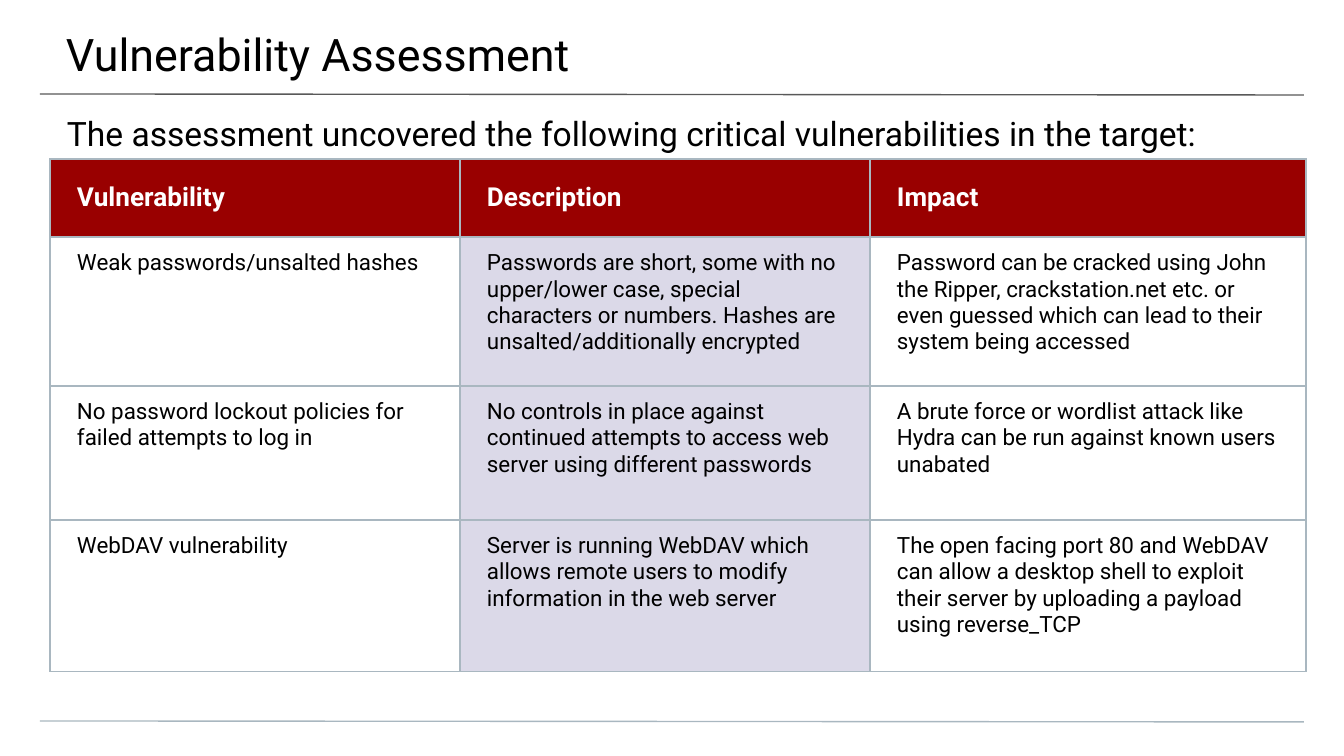
from pptx import Presentation
from pptx.dml.color import RGBColor
from pptx.enum.shapes import MSO_CONNECTOR as Conn
from pptx.enum.text import MSO_ANCHOR as Anchor
from pptx.oxml.ns import qn
from pptx.util import Emu, Pt
from lxml.etree import SubElement as Sub

SCALE = 914400 / 134.4
FONT = "Roboto"
BLACK, WHITE, RED, LILAC, GREY, RULE = (
    "000000", "FFFFFF", "990000", "DBD9E8", "A9B7C0", "595959")
COLUMNS = [410, 410, 436]
ROWS = [78, 149, 134, 152]
CELLS = [
    ["Vulnerability", "Description", "Impact"],
    ["Weak passwords/unsalted hashes",
     "Passwords are short, some with no upper/lower case, special characters "
     "or numbers. Hashes are unsalted/additionally encrypted",
     "Password can be cracked using John the Ripper, crackstation.net etc. or "
     "even guessed which can lead to their system being accessed"],
    ["No password lockout policies for failed attempts to log in",
     "No controls in place against continued attempts to access web server "
     "using different passwords",
     "A brute force or wordlist attack like Hydra can be run against known "
     "users unabated"],
    ["WebDAV vulnerability",
     "Server is running WebDAV which allows remote users to modify "
     "information in the web server",
     "The open facing port 80 and WebDAV can allow a desktop shell to exploit "
     "their server by uploading a payload using reverse_TCP"],
]


def px(n):
    return Emu(round(n * SCALE))


def rgb(color):
    return RGBColor.from_string(color)


class Deck:
    """Holds the style and the current slide, and draws its elements."""

    def __init__(self, width, height):
        self.prs = Presentation()
        self.prs.slide_width, self.prs.slide_height = px(width), px(height)
        self.s = self.prs.slides.add_slide(self.prs.slide_layouts[6])

    def fill_text(self, tf, text, size, color, bold=False):
        tf.word_wrap = True
        tf.text = text
        font = tf.paragraphs[0].runs[0].font
        font.name, font.size, font.bold = FONT, Pt(size), bold
        font.color.rgb = rgb(color)

    def text(self, box, insets, text, size):
        tf = self.s.shapes.add_textbox(*map(px, box)).text_frame
        (tf.margin_left, tf.margin_top,
         tf.margin_right, tf.margin_bottom) = map(px, insets)
        self.fill_text(tf, text, size, BLACK)

    def line(self, x1, y1, x2, y2, color):
        sp = self.s.shapes.add_connector(Conn.STRAIGHT, *map(px, (x1, y1, x2, y2)))
        sp.line.color.rgb = rgb(color)
        sp.line.width = Pt(0.75)
        Sub(sp._element.spPr, qn("a:effectLst"))

    def borders(self, cell, color):
        tcPr = cell._tc.get_or_add_tcPr()
        for i, side in enumerate(("lnL", "lnR", "lnT", "lnB")):
            ln = tcPr.makeelement(qn(f"a:{side}"), {"w": str(Pt(0.75))})
            Sub(Sub(ln, qn("a:solidFill")), qn("a:srgbClr"), val=color)
            tcPr.insert(i, ln)

    def cell(self, cell, text, head, fill):
        cell.margin_left = cell.margin_right = px(27)
        cell.margin_top = cell.margin_bottom = px(13)
        cell.vertical_anchor = Anchor.MIDDLE if head else Anchor.TOP
        if fill:
            cell.fill.solid()
            cell.fill.fore_color.rgb = rgb(fill)
        else:
            cell.fill.background()
        self.borders(cell, GREY)
        size, color = (14, WHITE) if head else (12, BLACK)
        self.fill_text(cell.text_frame, text, size, color, head)

    def table(self, x, y, columns, rows, cells):
        size = map(px, (x, y, sum(columns), sum(rows)))
        table = self.s.shapes.add_table(len(rows), len(columns), *size).table
        for column, width in zip(table.columns, columns):
            column.width = px(width)
        for i, height in enumerate(rows):
            table.rows[i].height = px(height)
            for j, text in enumerate(cells[i]):
                fill = RED if i == 0 else LILAC if j == 1 else None
                self.cell(table.cell(i, j), text, i == 0, fill)


def main():
    deck = Deck(1344, 756)
    deck.line(40, 94, 1304, 95, RULE)
    deck.line(40, 721, 1304, 722, GREY)
    deck.text((-1, 0, 1348, 78), (67, 27, 40, 13), "Vulnerability Assessment", 24)
    deck.text((0, 100, 1344, 54), (67, 13, 67, 0),
              "The assessment uncovered the following critical vulnerabilities "
              "in the target:", 18)
    deck.table(50, 159, COLUMNS, ROWS, CELLS)
    deck.prs.save("out.pptx")


if __name__ == "__main__":
    main()
